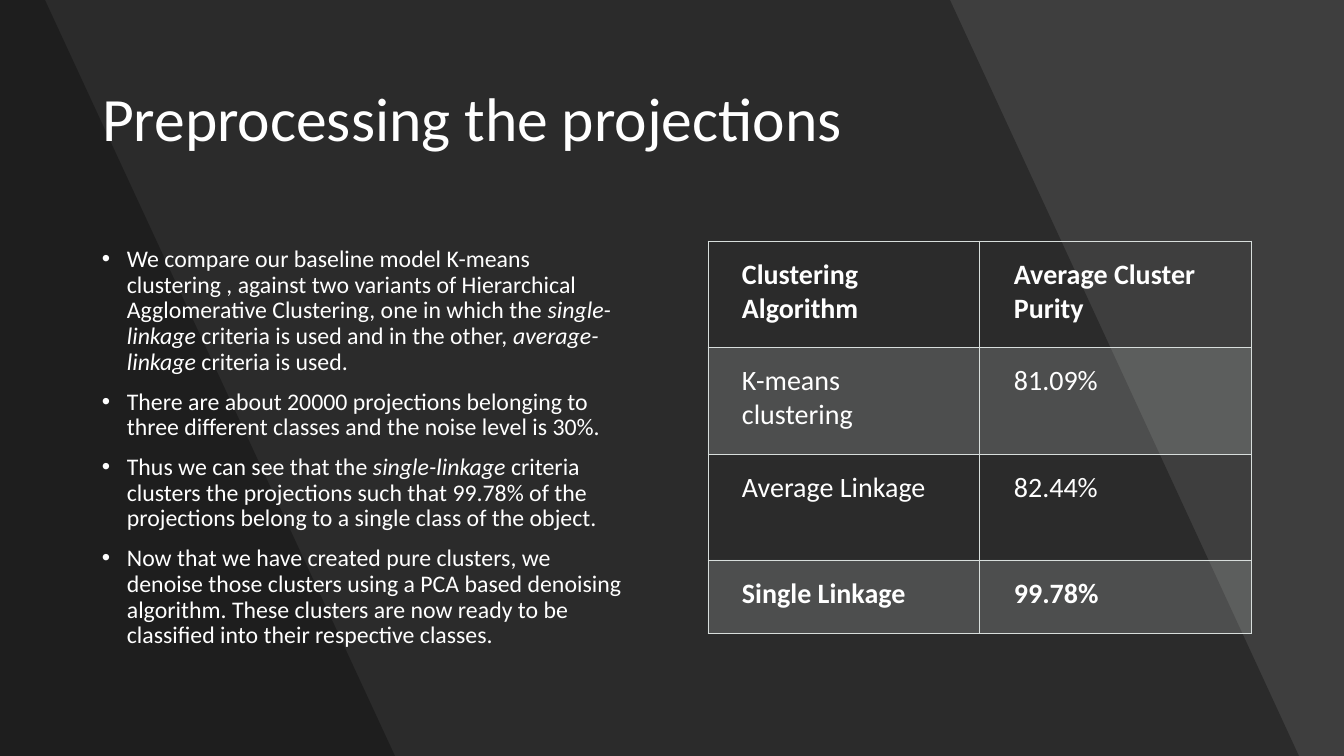
from lxml.etree import SubElement
from pptx import Presentation
from pptx.dml.color import RGBColor
from pptx.enum.text import MSO_ANCHOR as Anchor, PP_ALIGN as Align
from pptx.enum.shapes import MSO_SHAPE as Shape
from pptx.oxml.ns import qn
from pptx.util import Emu, Pt

PX = 914400 / 100.8
WIDTH, HEIGHT = 1344, 756

BLACK = RGBColor(0x00, 0x00, 0x00)
WHITE = RGBColor(0xFF, 0xFF, 0xFF)
GREY = RGBColor(0x45, 0x45, 0x45)
MIST = RGBColor(0xD8, 0xDE, 0xDC)

TITLE = "Preprocessing the projections"
# Asterisks enclose italic passages.
POINTS = [
    "We compare our baseline model K-means clustering , against two variants of "
    "Hierarchical Agglomerative Clustering, one in which the *single-linkage *criteria "
    "is used and in the other,* average-linkage *criteria is used.",
    "There are about 20000 projections belonging to three different classes and the "
    "noise level is 30%.",
    "Thus we can see that the *single-linkage *criteria clusters the projections such "
    "that 99.78% of the projections belong to a single class of the object.",
    "Now that we have created pure clusters, we denoise those clusters using a PCA based "
    "denoising algorithm. These clusters are now ready to be classified into their "
    "respective classes.",
]
PURITY = [
    ("Clustering Algorithm", "Average Cluster Purity"),
    ("K-means clustering", "81.09%"),
    ("Average Linkage", "82.44%"),
    ("Single Linkage", "99.78%"),
]
ROW_HEIGHTS = [106, 107, 106, 73]
BOLD_ROWS = (0, 3)


def px(length):
    return Emu(round(length * PX))


def fill_with(fill, color, opacity):
    """Fill with a see-through colour; opacity is in percent."""
    fill.solid()
    fill.fore_color.rgb = color
    tint = fill._xPr.find(qn("a:solidFill"))[0]
    SubElement(tint, qn("a:alpha"), val=str(opacity * 1000))


class SlideBuilder:
    font = "Calibri"

    def __init__(self, deck):
        self.page = deck.slides.add_slide(deck.slide_layouts[5])
        self.shapes = self.page.shapes

    def background(self, color):
        fill = self.page.background.fill
        fill.solid()
        fill.fore_color.rgb = color

    def style(self, span, size, bold=False, italic=False):
        span.font.name = self.font
        span.font.size = Pt(size)
        span.font.color.rgb = WHITE
        span.font.bold = bold
        span.font.italic = italic

    def shade(self, shape, opacity):
        fill_with(shape.fill, BLACK, opacity)
        shape.line.fill.background()
        shape.shadow.inherit = False

    def veil(self, opacity):
        """Darken the whole page."""
        box = self.shapes.add_shape(Shape.RECTANGLE, 0, 0, px(WIDTH), px(HEIGHT))
        self.shade(box, opacity)

    def slanted_panel(self, top_width, bottom_width, opacity):
        outline = self.shapes.build_freeform(0, 0, scale=PX)
        outline.add_line_segments(
            [(top_width, 0), (bottom_width, HEIGHT), (0, HEIGHT)], close=True)
        self.shade(outline.convert_to_shape(), opacity)

    def title(self, text, left, top, width, height):
        box = self.shapes.title
        box.left, box.top, box.width, box.height = map(px, (left, top, width, height))
        frame = box.text_frame
        frame.text = text
        frame.word_wrap = True
        frame.vertical_anchor = Anchor.MIDDLE
        para = frame.paragraphs[0]
        para.alignment = Align.LEFT
        para.line_spacing = 0.9
        self.style(para.runs[0], 44)
        # Bring the title in front of the background panels.
        self.shapes._spTree.append(box._element)

    def bullets(self, points, left, top, width, height):
        box = self.shapes.add_textbox(*map(px, (left, top, width, height)))
        frame = box.text_frame
        frame.word_wrap = True
        for number, point in enumerate(points):
            para = frame.add_paragraph() if number else frame.paragraphs[0]
            para.line_spacing = 0.9
            para.space_before = Pt(10)
            props = para._p.get_or_add_pPr()
            props.set("marL", str(px(25)))
            props.set("indent", str(-px(25)))
            SubElement(props, qn("a:buFont"), typeface="Arial")
            SubElement(props, qn("a:buChar"), char="•")
            for part, text in enumerate(point.split("*")):
                span = para.add_run()
                span.text = text
                self.style(span, 17, italic=part % 2 == 1)

    def borders(self, cell):
        props = cell._tc.get_or_add_tcPr()
        for side in ("lnL", "lnR", "lnT", "lnB"):
            line = SubElement(props, qn(f"a:{side}"), w=str(Pt(0.75)))
            solid = SubElement(line, qn("a:solidFill"))
            SubElement(solid, qn("a:srgbClr"), val=str(MIST))

    def table(self, rows, row_heights, bold_rows, left, top, width):
        columns = len(rows[0])
        frame = self.shapes.add_table(
            len(rows), columns, *map(px, (left, top, width, sum(row_heights))))
        grid = frame.table
        for column in grid.columns:
            column.width = px(width // columns)
        for r, texts in enumerate(rows):
            grid.rows[r].height = px(row_heights[r])
            for c, text in enumerate(texts):
                cell = grid.cell(r, c)
                cell.text = text
                cell.margin_left, cell.margin_right = px(34), px(37)
                cell.margin_top = cell.margin_bottom = px(17)
                self.style(cell.text_frame.paragraphs[0].runs[0], 20, bold=r in bold_rows)
                self.borders(cell)
                if r % 2:
                    fill_with(cell.fill, MIST, 20)
                else:
                    cell.fill.background()


def main():
    deck = Presentation()
    deck.slide_width, deck.slide_height = px(WIDTH), px(HEIGHT)
    slide = SlideBuilder(deck)
    slide.background(GREY)
    slide.veil(9)
    slide.slanted_panel(950, 1299, 30)
    slide.slanted_panel(45, 395, 30)
    slide.title(TITLE, 92, 49, 1160, 146)
    slide.bullets(POINTS, 92, 242, 544, 440)
    slide.table(PURITY, ROW_HEIGHTS, BOLD_ROWS, 708, 241, 544)
    deck.save("out.pptx")


if __name__ == "__main__":
    main()
